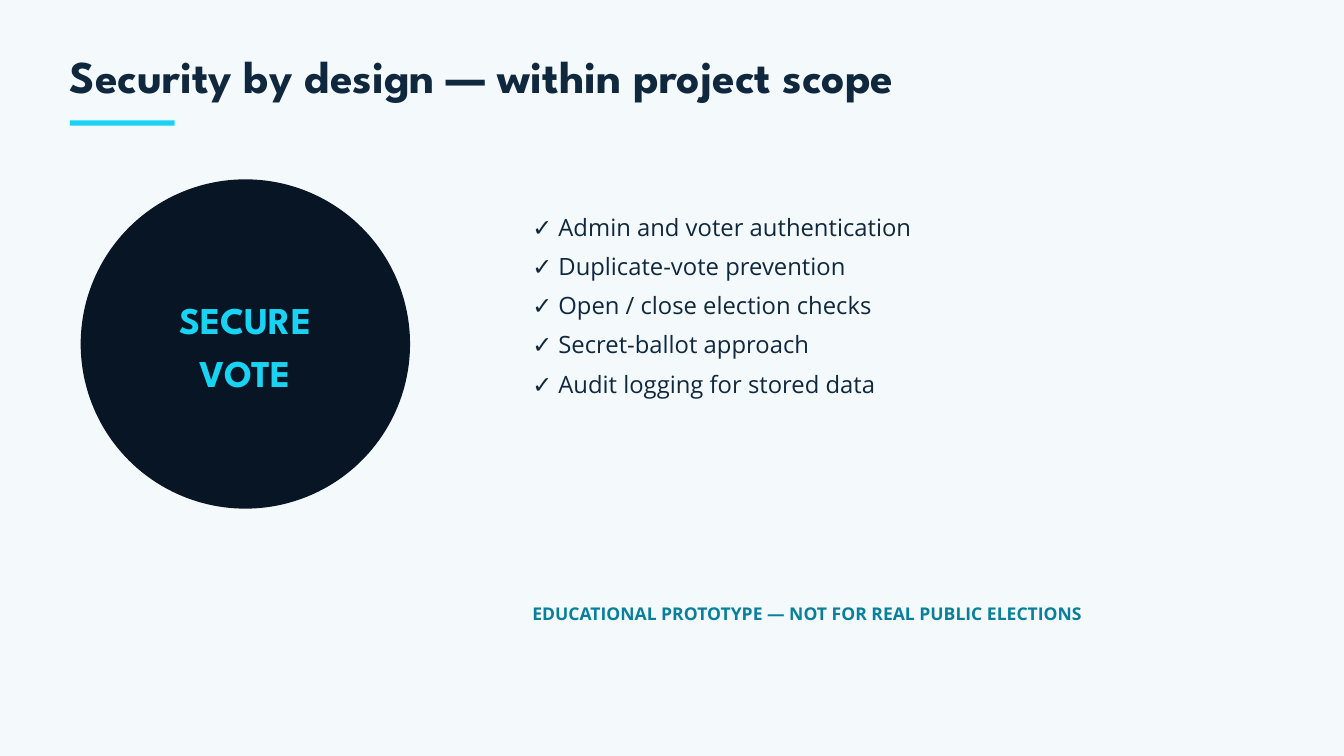
from dataclasses import dataclass

from pptx import Presentation
from pptx.dml.color import RGBColor
from pptx.enum.shapes import MSO_SHAPE
from pptx.enum.text import MSO_ANCHOR, PP_ALIGN
from pptx.util import Cm, Pt

RECTANGLE, OVAL = MSO_SHAPE.RECTANGLE, MSO_SHAPE.OVAL
TOP, MIDDLE = MSO_ANCHOR.TOP, MSO_ANCHOR.MIDDLE
LEFT, CENTER = PP_ALIGN.LEFT, PP_ALIGN.CENTER
TITLE_ONLY = 5


@dataclass(frozen=True)
class TextStyle:
    font: str
    size: float
    leading: float
    color: str
    bold: bool = False
    align: PP_ALIGN = LEFT
    anchor: MSO_ANCHOR = TOP


@dataclass(frozen=True)
class Theme:
    background: str = "F4F9FC"
    accent: str = "19D3F3"
    badge_fill: str = "071525"
    title: TextStyle = TextStyle("League Spartan", 48.8, 51.2, "10283D", bold=True)
    badge: TextStyle = TextStyle("League Spartan", 40.5, 56.7, "19D3F3", bold=True,
                                 align=CENTER, anchor=MIDDLE)
    body: TextStyle = TextStyle("Open Sans", 25.5, 42.1, "10283D")
    notice: TextStyle = TextStyle("Open Sans", 18.8, 26.2, "087F9B", bold=True)


THEME = Theme()
MARGIN = Cm(2.64)
CONTENT_LEFT = Cm(20.12)
CONTENT_WIDTH = Cm(23.83)

MEASURES = [
    "Admin and voter authentication",
    "Duplicate-vote prevention",
    "Open / close election checks",
    "Secret-ballot approach",
    "Audit logging for stored data",
]


def write(frame, lines, style):
    """Fill a text frame with one paragraph per line, without insets."""
    frame.word_wrap = True
    frame.vertical_anchor = style.anchor
    frame.margin_left = frame.margin_right = 0
    frame.margin_top = frame.margin_bottom = 0
    frame.text = "\n".join(lines)
    for paragraph in frame.paragraphs:
        paragraph.alignment = style.align
        paragraph.line_spacing = Pt(style.leading)
        paragraph.space_before = Pt(0)
        font = paragraph.font
        font.name = style.font
        font.size = Pt(style.size)
        font.bold = style.bold
        font.color.rgb = RGBColor.from_string(style.color)


def add_title(slide, text):
    title = slide.shapes.title
    title.left, title.top = MARGIN, Cm(2.08)
    title.width, title.height = Cm(39.67), Cm(1.88)
    write(title.text_frame, [text], THEME.title)


def add_text(slide, top, height, lines, style):
    box = slide.shapes.add_textbox(CONTENT_LEFT, top, CONTENT_WIDTH, height)
    write(box.text_frame, lines, style)


def add_solid(slide, preset, left, top, width, height, color):
    solid = slide.shapes.add_shape(preset, left, top, width, height)
    solid.shadow.inherit = False
    solid.fill.solid()
    solid.fill.fore_color.rgb = RGBColor.from_string(color)
    solid.line.fill.background()
    return solid


def add_badge(slide, left, top, diameter, lines):
    badge = add_solid(slide, OVAL, left, top, diameter, diameter, THEME.badge_fill)
    write(badge.text_frame, lines, THEME.badge)
    badge.text_frame.margin_bottom = Cm(0.15)  # lifts the words slightly above centre


def main():
    deck = Presentation()
    deck.slide_width, deck.slide_height = Cm(50.8), Cm(28.58)
    slide = deck.slides.add_slide(deck.slide_layouts[TITLE_ONLY])
    slide.background.fill.solid()
    slide.background.fill.fore_color.rgb = RGBColor.from_string(THEME.background)

    add_title(slide, "Security by design — within project scope")
    add_solid(slide, RECTANGLE, MARGIN, Cm(4.55), Cm(3.96), Cm(0.2), THEME.accent)
    add_badge(slide, Cm(3.05), Cm(6.78), Cm(12.45), ["SECURE", "VOTE"])
    add_text(slide, Cm(7.62), Cm(7.32),
             [f"✓ {measure}" for measure in MEASURES], THEME.body)
    add_text(slide, Cm(22.66), Cm(0.89),
             ["EDUCATIONAL PROTOTYPE — NOT FOR REAL PUBLIC ELECTIONS"], THEME.notice)

    deck.save("out.pptx")


if __name__ == "__main__":
    main()
